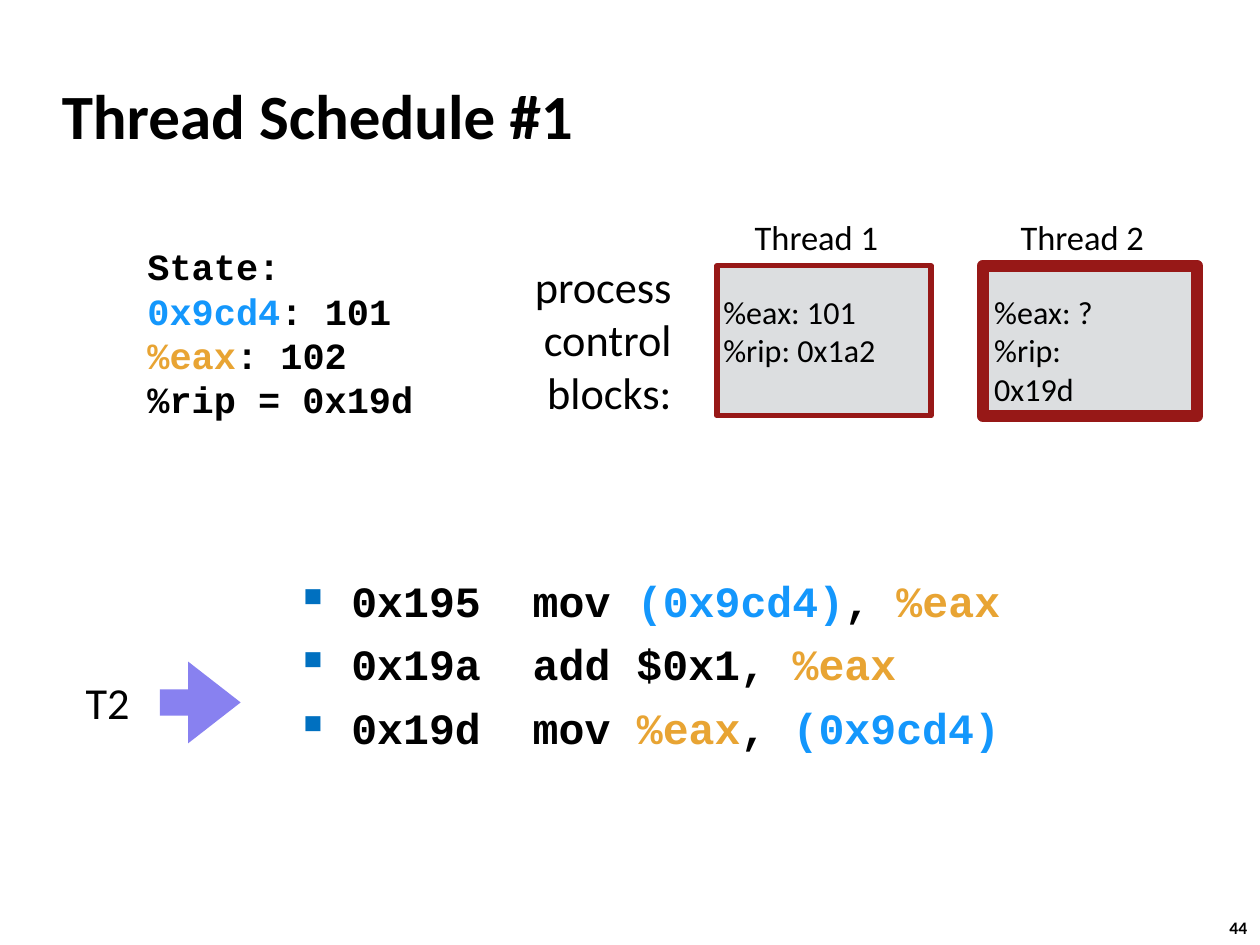
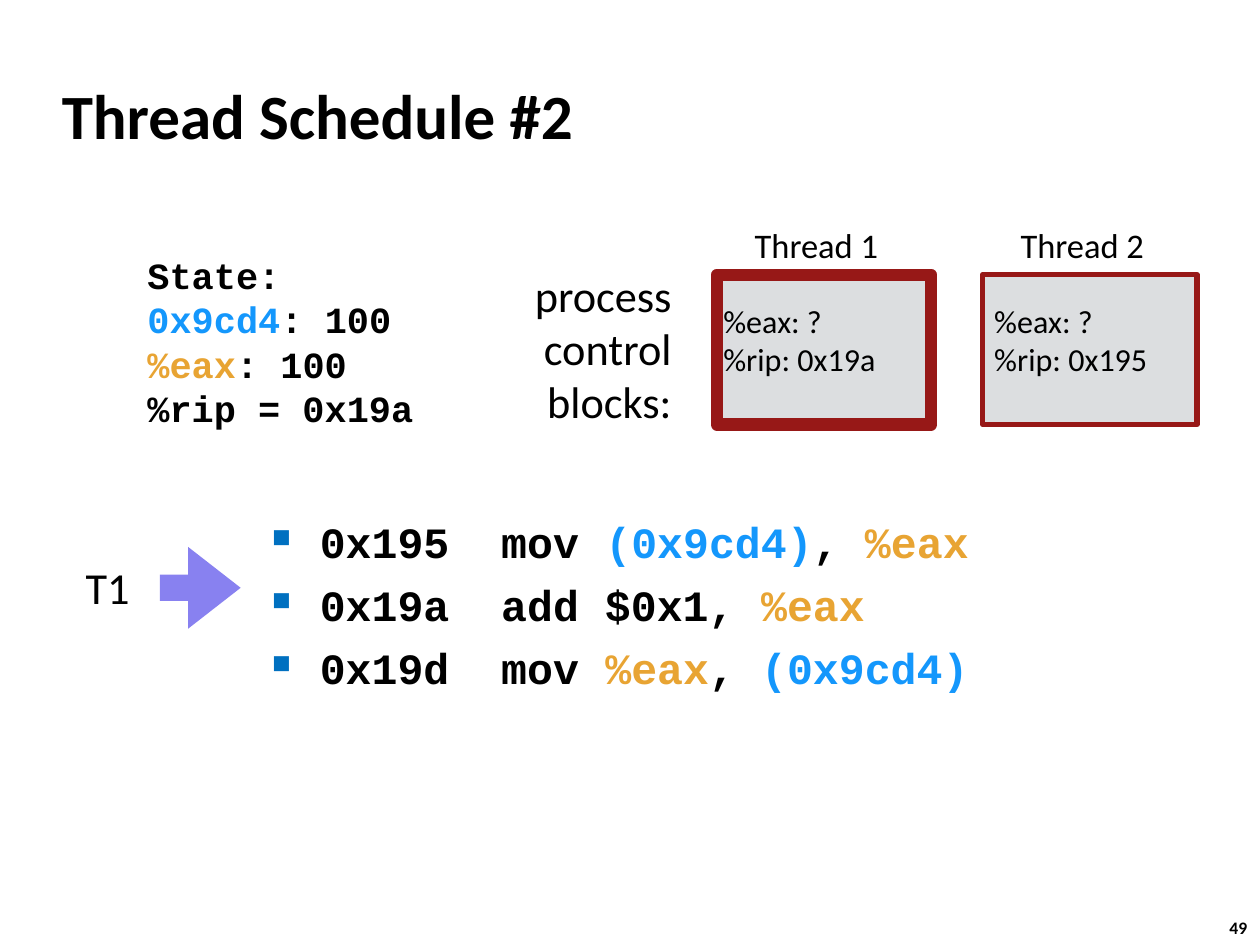
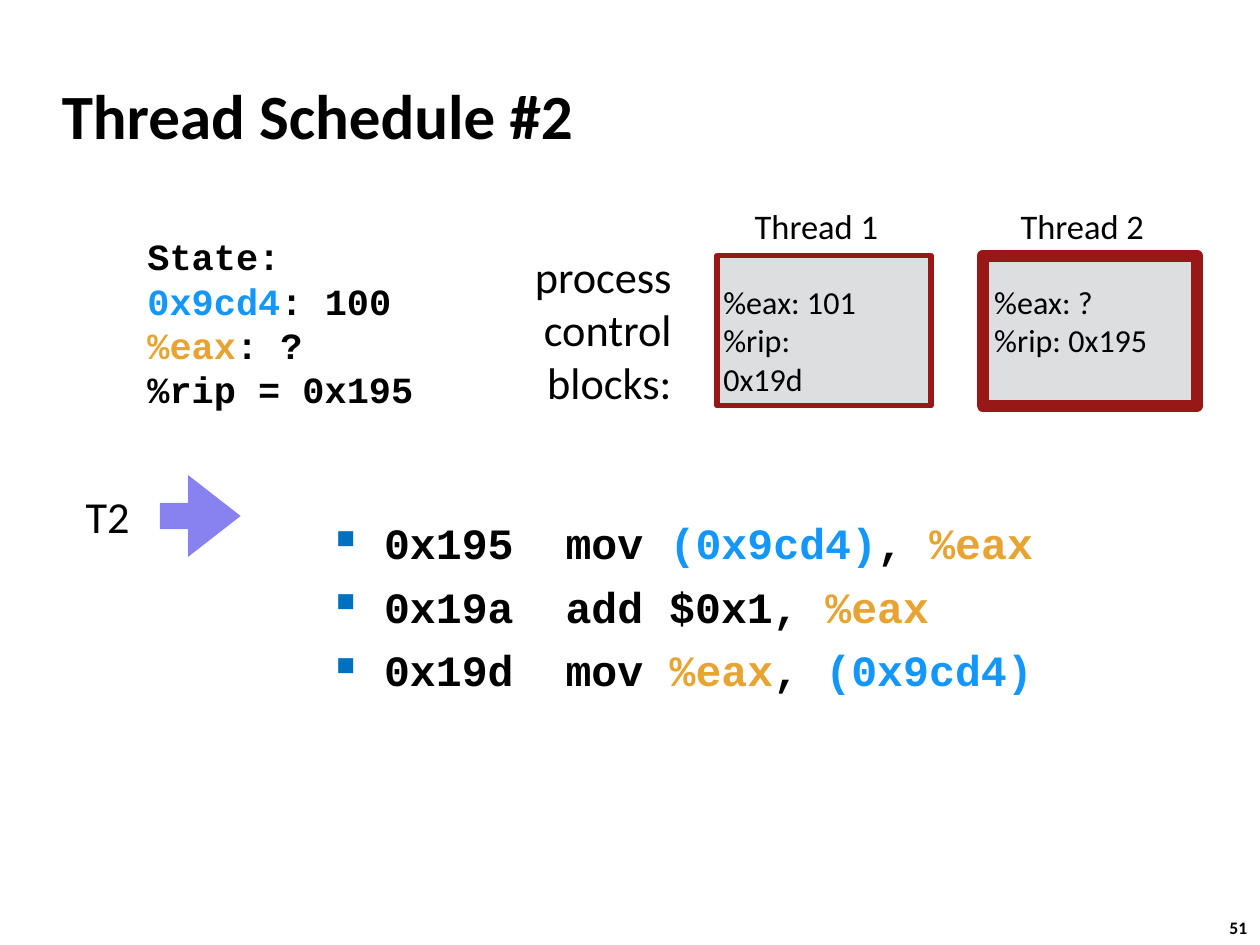
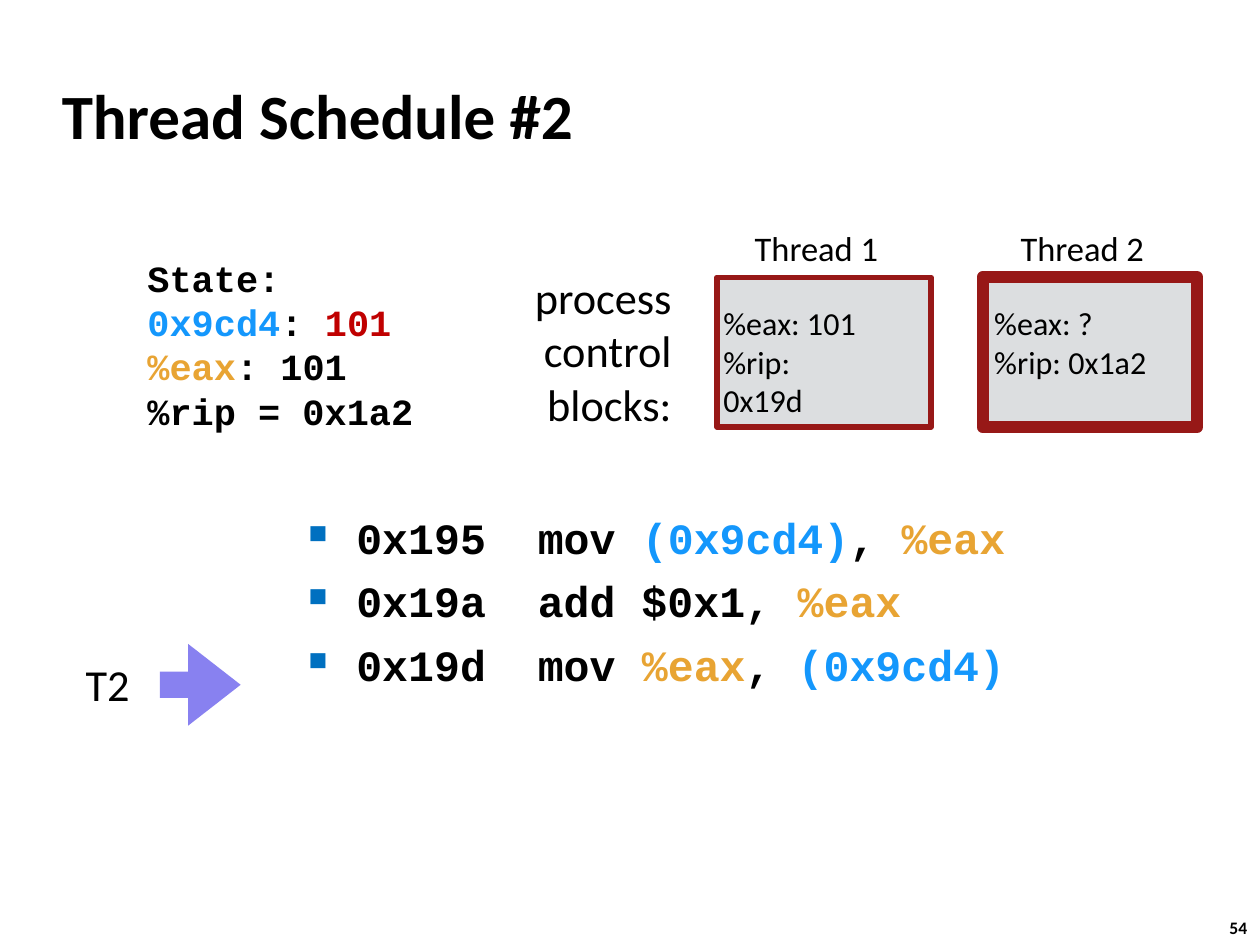
import pptx
import pptx.dml.color
import pptx.enum.shapes
import pptx.enum.text
import pptx.util
from lxml import etree
from pptx.oxml.ns import qn

Inches = pptx.util.Inches
Pt = pptx.util.Pt
RGB = pptx.dml.color.RGBColor
Shape = pptx.enum.shapes.MSO_SHAPE
Align = pptx.enum.text.PP_ALIGN
Anchor = pptx.enum.text.MSO_ANCHOR
Fit = pptx.enum.text.MSO_AUTO_SIZE

# Colours and fonts
BLACK = RGB(0x00, 0x00, 0x00)
BLUE = RGB(0x14, 0x97, 0xFC)
AMBER = RGB(0xE8, 0xA4, 0x33)
RED = RGB(0xC0, 0x00, 0x00)
MAROON = RGB(0x97, 0x18, 0x17)
GREY = RGB(0xDC, 0xDE, 0xE0)
VIOLET = RGB(0x88, 0x81, 0xF0)
MARK = RGB(0x00, 0x70, 0xC0)
SANS = "Calibri"
MONO = "Courier New"

# Program shown on every slide: lines of (text, colour) spans
ADDR = ("(0x9cd4)", BLUE)
REG = ("%eax", AMBER)
COMMA = (", ", BLACK)
CODE = [
    [("0x195  mov ", BLACK), ADDR, COMMA, REG],
    [("0x19a  add $0x1, ", BLACK), REG],
    [("0x19d  mov ", BLACK), REG, COMMA, ADDR],
]


def plain(*lines):
    """Turn strings into lines of one black span each."""
    return [[(line, BLACK)] for line in lines]


class Deck:
    def __init__(self):
        self.prs = pptx.Presentation()
        self.prs.slide_width = Inches(10)
        self.prs.slide_height = Inches(7.5)
        self.slide = None

    def start(self, title, number):
        """Add a slide with its title and page number."""
        self.slide = self.prs.slides.add_slide(self.prs.slide_layouts[5])
        head = self.slide.shapes.title
        head.left, head.top = Inches(0.39), Inches(0.49)
        head.width, head.height = Inches(8.3), Inches(0.83)
        frame = head.text_frame
        frame.vertical_anchor = Anchor.MIDDLE
        frame.auto_size = Fit.NONE
        self.fill(frame, plain(title), 36, SANS, True)
        props = frame.paragraphs[0]._p.get_or_add_pPr()
        props.set("marL", str(Inches(0.13)))
        props.set("indent", str(-Inches(0.13)))
        page = self.text(9.66, 7.23, 0.37, 0.27, plain(str(number)), 10, bold=True,
                         anchor=Anchor.TOP, inset=None)
        page.margin_left = page.margin_right = Inches(0.1)

    def fill(self, frame, lines, size, font, bold, align=Align.LEFT):
        """Write coloured lines into a text frame."""
        for i, line in enumerate(lines):
            para = frame.paragraphs[0] if i == 0 else frame.add_paragraph()
            para.alignment = align
            for words, color in line:
                run = para.add_run()
                run.text = words
                run.font.size, run.font.name = Pt(size), font
                run.font.bold = bold
                run.font.color.rgb = color

    def text(self, x, y, w, h, lines, size, font=SANS, bold=False,
             align=Align.LEFT, anchor=Anchor.MIDDLE, inset=0.04, wrap=False):
        """Add a text box; inset None keeps the default margins."""
        box = self.slide.shapes.add_textbox(Inches(x), Inches(y), Inches(w), Inches(h))
        frame = box.text_frame
        frame.word_wrap = wrap
        frame.auto_size = Fit.NONE if wrap else Fit.SHAPE_TO_FIT_TEXT
        frame.vertical_anchor = anchor
        if inset is not None:
            frame.margin_left = frame.margin_right = Inches(inset)
            frame.margin_top = frame.margin_bottom = Inches(inset)
        self.fill(frame, lines, size, font, bold, align)
        return frame

    def shape(self, kind, x, y, w, h, color, line=0):
        """Add a filled shape, outlined if line is a width in points."""
        item = self.slide.shapes.add_shape(kind, Inches(x), Inches(y), Inches(w), Inches(h))
        item.shadow.inherit = False
        item.fill.solid()
        item.fill.fore_color.rgb = color
        if line:
            item.line.color.rgb = MAROON
            item.line.width = Pt(line)
        else:
            item.line.fill.background()
        return item

    def code(self, x, y):
        """Add the bulleted program."""
        frame = self.text(x, y, 6.04, 1.51, CODE, 24.7, MONO, True,
                          anchor=Anchor.TOP, inset=None, wrap=True)
        frame.margin_top = Inches(0.14)
        for i, para in enumerate(frame.paragraphs):
            props = para._p.get_or_add_pPr()
            props.set("marL", str(Inches(0.38)))
            props.set("indent", str(-Inches(0.38)))
            tint = etree.SubElement(props, qn("a:buClr"))
            etree.SubElement(tint, qn("a:srgbClr")).set("val", str(MARK))
            etree.SubElement(props, qn("a:buSzPct")).set("val", "60000")
            etree.SubElement(props, qn("a:buChar")).set("char", "■")
            if i:
                para.space_before = Pt(6.5)

    def blocks(self, top, active, saved):
        """Add the control block of each thread; the active one is heavy."""
        for i, (eax, rip) in enumerate(saved):
            step = 2.11 * i
            line = 7 if i + 1 == active else 3
            self.shape(Shape.RECTANGLE, 5.69 + step, top, 1.7, 1.19, GREY, line)
            self.text(5.95 + step, top - 0.44, 1.07, 0.41, plain(f"Thread {i + 1}"), 19.7)
            self.text(5.74 + 2.15 * i, top + 0.21, 1.22, 0.62,
                      plain(f"%eax: {eax}", f"%rip: {rip}"), 18.3,
                      anchor=Anchor.TOP, inset=0)
        self.text(4.18, top - 0.1, 1.19, 1.36, plain("process", "control", "blocks:"),
                  25.3, align=Align.RIGHT)

    def state(self, top, memory, eax, rip, color):
        """Add the machine state."""
        lines = [
            [("State:", BLACK)],
            [("0x9cd4", BLUE), (": ", BLACK), (memory, color)],
            [REG, (f": {eax}", BLACK)],
            [(f"%rip = {rip}", BLACK)],
        ]
        self.text(1.13, top - 0.22, 2.22, 1.5, lines, 21.1, MONO, True)

    def pointer(self, y, active):
        """Add the arrow at the next instruction."""
        self.text(0.64, y + 0.07, 0.43, 0.5, plain(f"T{active}"), 25.3)
        arrow = self.shape(Shape.RIGHT_ARROW, 1.27, y, 0.64, 0.65, VIOLET)
        arrow.adjustments[0], arrow.adjustments[1] = 0.32, 0.652


# title number, page, block top, active thread, saved (eax, rip) per thread,
# state (memory, eax, rip, memory colour), code place, arrow top
STEPS = [
    (1, 44, 2.11, 2, [("101", "0x1a2"), ("?", "0x19d")],
     ("101", "102", "0x19d", BLACK), (2.31, 4.42), 5.25),
    (2, 49, 2.18, 1, [("?", "0x19a"), ("?", "0x195")],
     ("100", "100", "0x19a", BLACK), (2.06, 3.95), 4.34),
    (2, 51, 2.03, 2, [("101", "0x19d"), ("?", "0x195")],
     ("100", "?", "0x195", BLACK), (2.57, 3.96), 3.77),
    (2, 54, 2.2, 2, [("101", "0x19d"), ("?", "0x1a2")],
     ("101", "101", "0x1a2", RED), (2.35, 3.92), 5.11),
]


def main():
    deck = Deck()
    for plan, page, top, active, saved, state, place, arrow in STEPS:
        deck.start(f"Thread Schedule #{plan}", page)
        deck.blocks(top, active, saved)
        deck.state(top, *state)
        deck.code(*place)
        deck.pointer(arrow, active)
    deck.prs.save("out.pptx")


if __name__ == "__main__":
    main()
